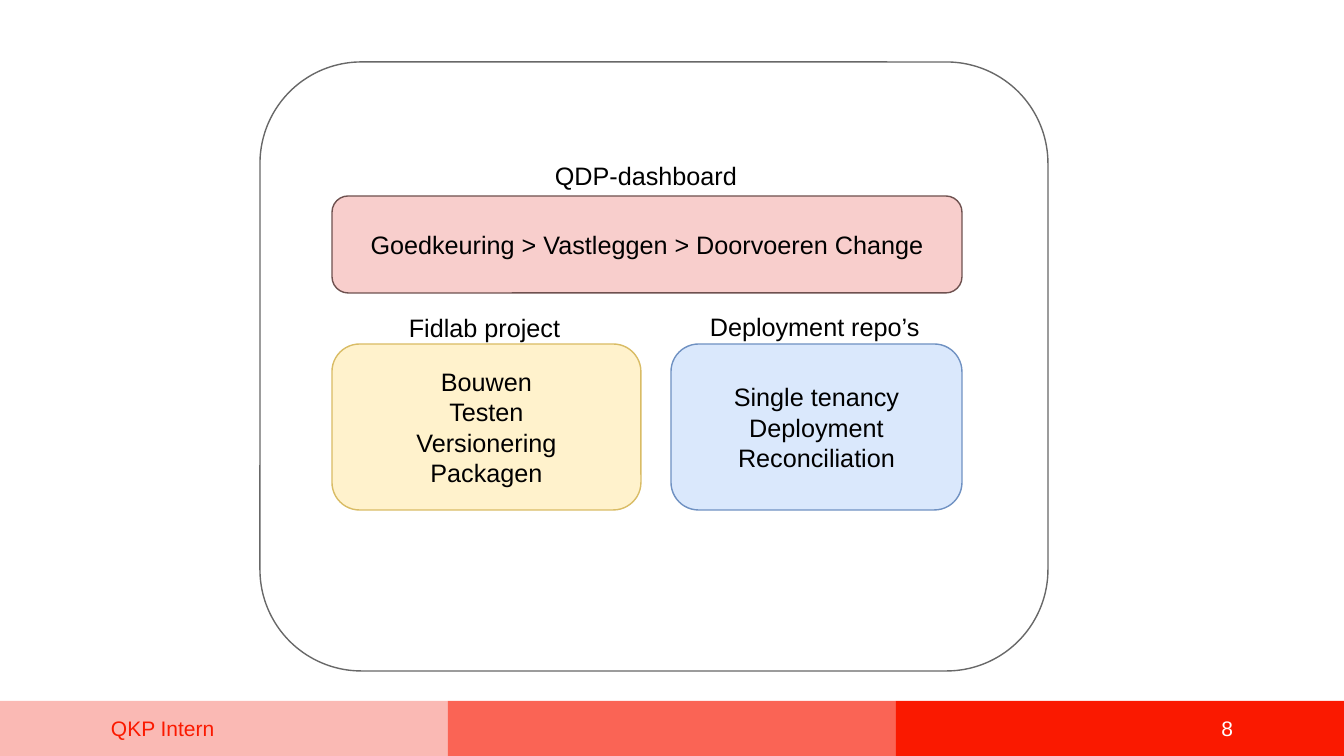
from pptx import Presentation
from pptx.dml.color import RGBColor
from pptx.enum.shapes import MSO_SHAPE
from pptx.enum.text import MSO_ANCHOR, MSO_AUTO_SIZE, PP_ALIGN
from pptx.util import Emu, Pt

EMU_PER_INCH = 914400
PX_PER_INCH = 100.8
SLIDE_WIDTH, SLIDE_HEIGHT = 1344, 756
FOOTER_TOP, FOOTER_HEIGHT = 701, 55

COLOURS = {
    "white": "FFFFFF",
    "black": "000000",
    "red": "FA1900",
    "coral": "FA6455",
    "blush": "FAB9B4",
    "frame line": "686868",
    "dashboard": "F8CECC",
    "dashboard line": "6E514F",
    "deployment": "DAE8FC",
    "deployment line": "6F91C2",
    "project": "FFF2CC",
    "project line": "D9BC65",
}


def px(length):
    return Emu(round(length * EMU_PER_INCH / PX_PER_INCH))


def colour(name):
    return RGBColor.from_string(COLOURS[name])


def write(frame, lines, size=18, ink="black", align=PP_ALIGN.LEFT):
    for index, line in enumerate(lines):
        paragraph = frame.add_paragraph() if index else frame.paragraphs[0]
        paragraph.alignment = align
        run = paragraph.add_run()
        run.text = line
        run.font.name = "Arial"
        run.font.size = Pt(size)
        run.font.color.rgb = colour(ink)


def add_panel(slide, preset, box, fill, line=None, lines=()):
    panel = slide.shapes.add_shape(preset, *map(px, box))
    panel.shadow.inherit = False
    panel.fill.solid()
    panel.fill.fore_color.rgb = colour(fill)
    if line:
        panel.line.color.rgb = colour(line)
        panel.line.width = Pt(1)
    else:
        panel.line.fill.background()
    panel.text_frame.vertical_anchor = MSO_ANCHOR.MIDDLE
    write(panel.text_frame, lines, align=PP_ALIGN.CENTER)


def add_label(slide, box, text):
    frame = slide.shapes.add_textbox(*map(px, box)).text_frame
    frame.word_wrap = True
    frame.auto_size = MSO_AUTO_SIZE.SHAPE_TO_FIT_TEXT
    write(frame, [text])


def add_footer_text(slide, left, width, text, ink, align):
    box = (left, FOOTER_TOP, width, FOOTER_HEIGHT)
    frame = slide.shapes.add_textbox(*map(px, box)).text_frame
    frame.word_wrap = True
    frame.vertical_anchor = MSO_ANCHOR.MIDDLE
    frame.margin_left = frame.margin_right = 0
    frame.margin_top = frame.margin_bottom = 0
    write(frame, [text], 15, ink, align)


def add_footer(slide):
    band_width = SLIDE_WIDTH // 3
    for index, fill in enumerate(("blush", "coral", "red")):
        band = (index * band_width, FOOTER_TOP, band_width, FOOTER_HEIGHT)
        add_panel(slide, MSO_SHAPE.RECTANGLE, band, fill)
    add_footer_text(slide, 111, 337, "QKP Intern", "red", PP_ALIGN.LEFT)
    add_footer_text(slide, 1190, 43, "8", "white", PP_ALIGN.RIGHT)


def add_diagram(slide):
    rounded = MSO_SHAPE.ROUNDED_RECTANGLE
    add_panel(slide, rounded, (260, 62, 788, 609), "white", "frame line")
    add_panel(slide, rounded, (332, 196, 630, 97), "dashboard", "dashboard line",
              ["Goedkeuring > Vastleggen > Doorvoeren Change"])
    add_panel(slide, rounded, (671, 344, 291, 166), "deployment", "deployment line",
              ["Single tenancy", "Deployment", "Reconciliation"])
    add_panel(slide, rounded, (332, 344, 309, 166), "project", "project line",
              ["Bouwen", "Testen", "Versionering", "Packagen"])
    add_label(slide, (545, 155, 212, 40), "QDP-dashboard")
    add_label(slide, (399, 307, 180, 40), "Fidlab project")
    add_label(slide, (700, 306, 254, 40), "Deployment repo’s")


def main():
    deck = Presentation()
    deck.slide_width = px(SLIDE_WIDTH)
    deck.slide_height = px(SLIDE_HEIGHT)
    slide = deck.slides.add_slide(deck.slide_layouts[6])
    add_footer(slide)
    add_diagram(slide)
    deck.save("out.pptx")


if __name__ == "__main__":
    main()
